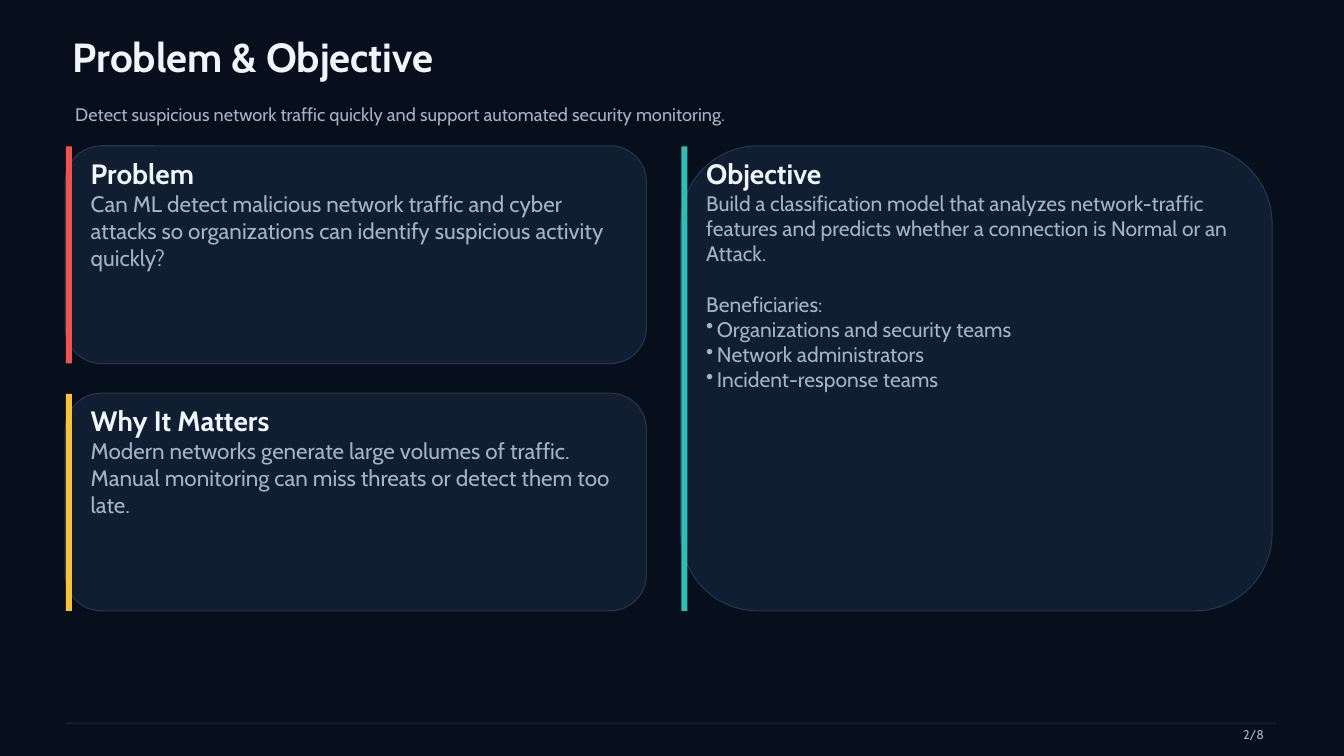
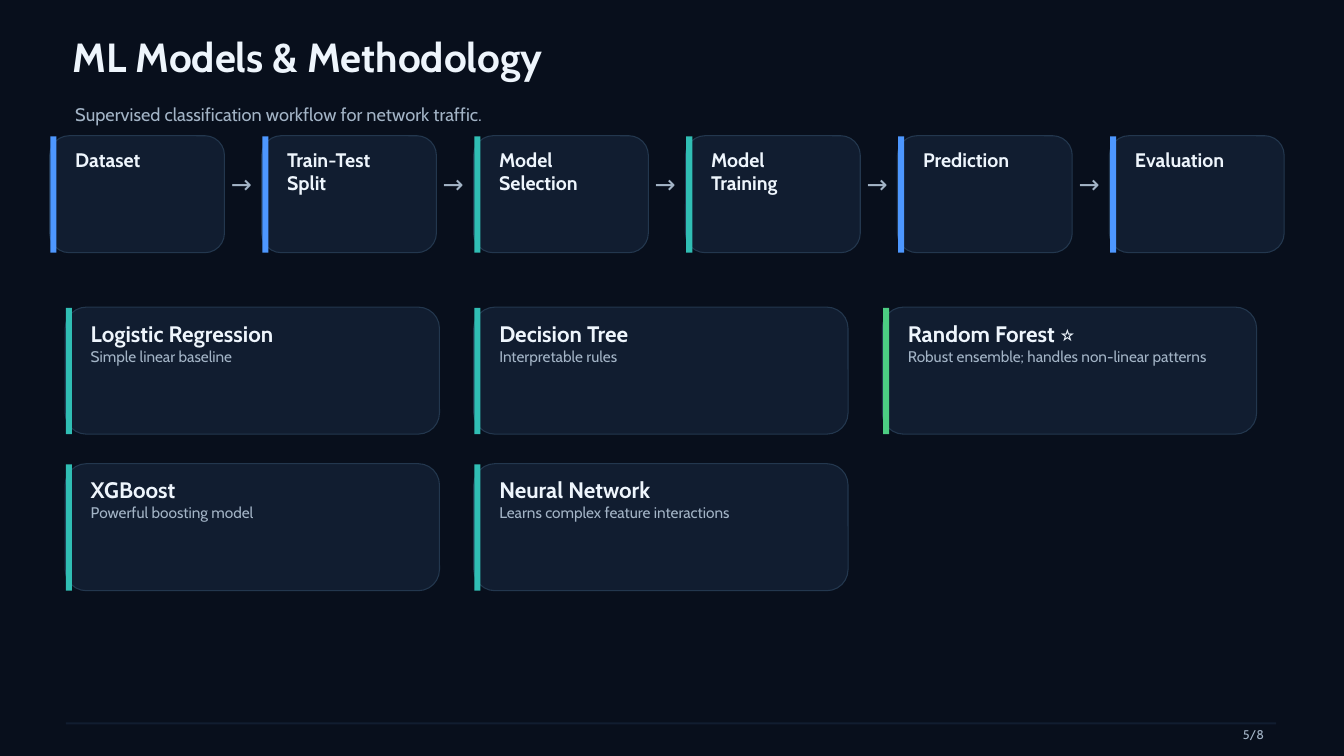
from lxml import etree
from pptx import Presentation
from pptx.dml.color import RGBColor
from pptx.enum.shapes import MSO_SHAPE
from pptx.enum.text import MSO_ANCHOR, MSO_AUTO_SIZE, PP_ALIGN
from pptx.oxml.ns import qn
from pptx.util import Inches, Pt

ROUNDED = MSO_SHAPE.ROUNDED_RECTANGLE
RECTANGLE = MSO_SHAPE.RECTANGLE
TOP = MSO_ANCHOR.TOP
LEFT, RIGHT = PP_ALIGN.LEFT, PP_ALIGN.RIGHT
NO_AUTOFIT = MSO_AUTO_SIZE.NONE
TITLE_ONLY = 5

FONT = "Cabin"
LINE_FACTOR = 1.2
BULLET_INDENT = 0.16
COLORS = {
    "background": "080F1C", "card": "111D30", "border": "23374E",
    "heading": "EEF5FC", "body": "A3B4C6", "red": "EF5350",
    "yellow": "F6C23E", "teal": "30BEB4", "blue": "4D97FF", "green": "4CCD82",
}
STYLES = {
    "title": {"size": 43.5, "color": "heading", "bold": True},
    "subtitle": {"size": 19.5, "color": "body"},
    "card heading": {"size": 30, "color": "heading", "bold": True},
    "card body": {"size": 24, "color": "body"},
    "objective": {"size": 22.5, "color": "body"},
    "beneficiaries": {"size": 22.5, "color": "body", "space_before": 27},
    "beneficiary": {"size": 22.5, "color": "body", "bullet": True},
    "step": {"size": 21, "color": "heading", "bold": True},
    "arrow": {"size": 27, "color": "body"},
    "model": {"size": 24, "color": "heading", "bold": True},
    "model note": {"size": 16.5, "color": "body"},
    "page": {"size": 13.5, "color": "body", "alignment": RIGHT},
}

PROBLEM_SLIDE = {
    "title": "Problem & Objective",
    "subtitle": "Detect suspicious network traffic quickly and support automated security monitoring.",
    "page": "2/8",
}
PROBLEM_CARDS = [
    ((0.97, 2.17, 8.65, 3.24), "red", [
        ("Problem", "card heading"),
        ("Can ML detect malicious network traffic and cyber attacks so organizations "
         "can identify suspicious activity quickly?", "card body"),
    ]),
    ((0.97, 5.85, 8.65, 3.24), "yellow", [
        ("Why It Matters", "card heading"),
        ("Modern networks generate large volumes of traffic. Manual monitoring can "
         "miss threats or detect them too late.", "card body"),
    ]),
    ((10.13, 2.17, 8.8, 6.92), "teal", [
        ("Objective", "card heading"),
        ("Build a classification model that analyzes network-traffic features and "
         "predicts whether a connection is Normal or an Attack.", "objective"),
        ("Beneficiaries:", "beneficiaries"),
        ("Organizations and security teams", "beneficiary"),
        ("Network administrators", "beneficiary"),
        ("Incident-response teams", "beneficiary"),
    ]),
]

METHOD_SLIDE = {
    "title": "ML Models & Methodology",
    "subtitle": "Supervised classification workflow for network traffic.",
    "page": "5/8",
}
STEPS = [
    (["Dataset"], "blue"),
    (["Train-Test", "Split"], "blue"),
    (["Model", "Selection"], "teal"),
    (["Model", "Training"], "teal"),
    (["Prediction"], "blue"),
    (["Evaluation"], "blue"),
]
MODELS = [
    ("Logistic Regression", "Simple linear baseline", "teal"),
    ("Decision Tree", "Interpretable rules", "teal"),
    ("Random Forest ⭐", "Robust ensemble; handles non-linear patterns", "green"),
    ("XGBoost", "Powerful boosting model", "teal"),
    ("Neural Network", "Learns complex feature interactions", "teal"),
]


def rgb(name):
    return RGBColor.from_string(COLORS[name])


def set_bullet(paragraph, bullet):
    properties = paragraph._p.get_or_add_pPr()
    if bullet:
        properties.set("marL", str(Inches(BULLET_INDENT)))
        properties.set("indent", str(-Inches(BULLET_INDENT)))
        etree.SubElement(properties, qn("a:buChar")).set("char", "•")


def write_text(shape, lines):
    frame = shape.text_frame
    settings = {
        "margin_left": 0, "margin_right": 0, "margin_top": 0, "margin_bottom": 0,
        "word_wrap": True, "auto_size": NO_AUTOFIT, "vertical_anchor": TOP,
    }
    for name, value in settings.items():
        setattr(frame, name, value)
    for index, (text, style_name) in enumerate(lines):
        style = STYLES[style_name]
        paragraph = frame.add_paragraph() if index else frame.paragraphs[0]
        set_bullet(paragraph, style.get("bullet", False))
        paragraph.alignment = style.get("alignment", LEFT)
        paragraph.line_spacing = Pt(style["size"] * LINE_FACTOR)
        paragraph.space_before = Pt(style.get("space_before", 0))
        run = paragraph.add_run()
        run.text = text
        font = {"name": FONT, "size": Pt(style["size"]), "bold": style.get("bold", False)}
        for name, value in font.items():
            setattr(run.font, name, value)
        run.font.color.rgb = rgb(style["color"])


def add_text(slide, box, lines):
    write_text(slide.shapes.add_textbox(*map(Inches, box)), lines)


def add_block(slide, kind, box, fill, border=None):
    shape = slide.shapes.add_shape(kind, *map(Inches, box))
    shape.shadow.inherit = False
    shape.fill.solid()
    shape.fill.fore_color.rgb = rgb(fill)
    if border:
        shape.line.color.rgb = rgb(border)
        shape.line.width = Pt(1.13)
    else:
        shape.line.fill.background()


def add_card(slide, box, accent, lines, inset):
    left, top, width, height = box
    add_block(slide, ROUNDED, box, "card", "border")
    add_block(slide, RECTANGLE, (left + 0.01, top + 0.01, 0.09, height - 0.01), accent)
    add_text(slide, (left + 0.38, top + inset, width - 0.7, height - 2 * inset), lines)


def start_slide(presentation, content):
    slide = presentation.slides.add_slide(presentation.slide_layouts[TITLE_ONLY])
    slide.background.fill.solid()
    slide.background.fill.fore_color.rgb = rgb("background")
    title = slide.shapes.title
    title.left, title.top, title.width, title.height = map(Inches, (1.08, 0.47, 17.66, 1.13))
    write_text(title, [(content["title"], "title")])
    add_text(slide, (1.12, 1.54, 17.36, 0.55), [(content["subtitle"], "subtitle")])
    add_block(slide, RECTANGLE, (0.98, 10.75, 18.01, 0.03), "card")
    add_text(slide, (17.81, 10.81, 1, 0.23), [(content["page"], "page")])
    return slide


def build_problem(presentation):
    slide = start_slide(presentation, PROBLEM_SLIDE)
    for box, accent, lines in PROBLEM_CARDS:
        add_card(slide, box, accent, lines, 0.16)


def build_method(presentation):
    slide = start_slide(presentation, METHOD_SLIDE)
    first, last, width = 0.74, 16.51, 2.6
    pitch = (last - first) / (len(STEPS) - 1)
    for index, (words, accent) in enumerate(STEPS):
        left = first + index * pitch
        if index:
            add_text(slide, (left - 0.46, 2.51, 0.25, 0.41), [("→", "arrow")])
        lines = [(word, "step") for word in words]
        add_card(slide, (left, 2.02, width, 1.74), accent, lines, 0.18)
    columns = 3
    for index, (name, note, accent) in enumerate(MODELS):
        row, column = divmod(index, columns)
        box = (0.97 + column * 6.08, 4.57 + row * 2.33, 5.57, 1.89)
        add_card(slide, box, accent, [(name, "model"), (note, "model note")], 0.19)


def main():
    presentation = Presentation()
    presentation.slide_width = Inches(20)
    presentation.slide_height = Inches(11.25)
    build_problem(presentation)
    build_method(presentation)
    presentation.save("out.pptx")


if __name__ == "__main__":
    main()
